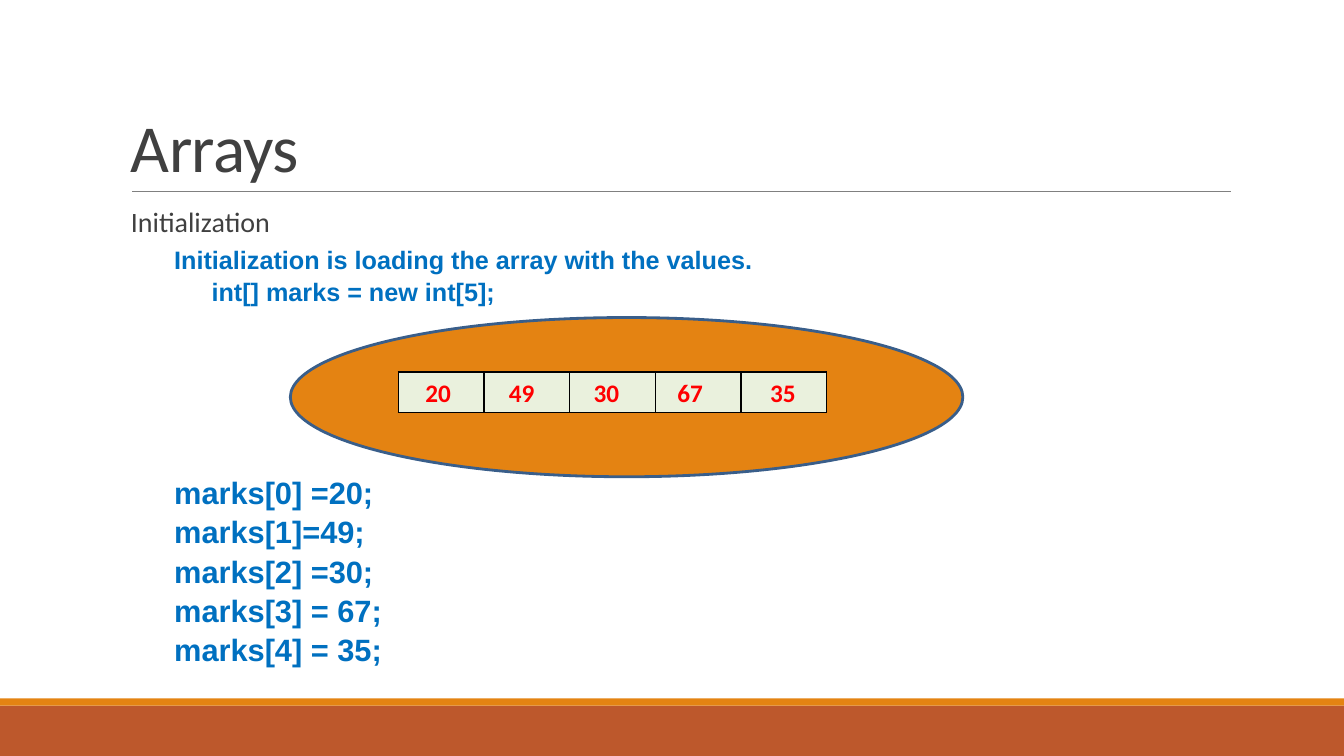
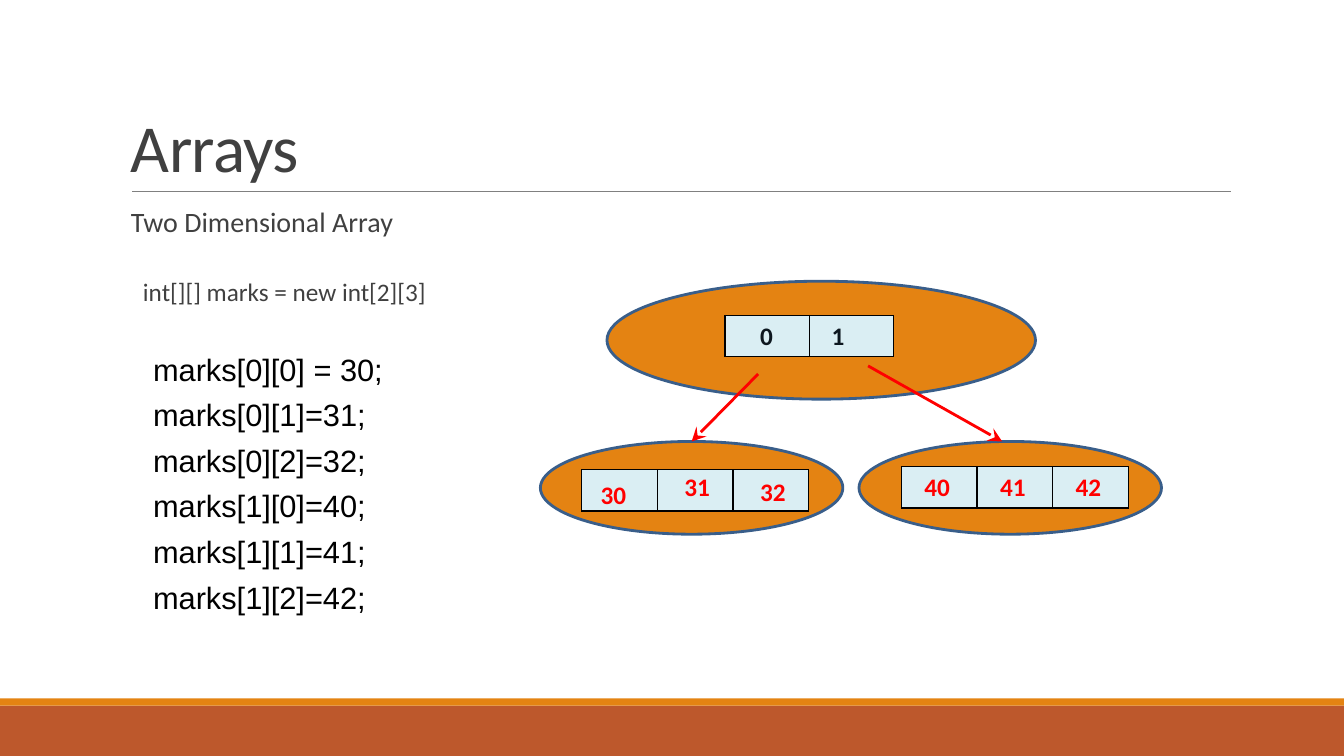
from pptx import Presentation
from pptx.dml.color import RGBColor
from pptx.enum.shapes import MSO_CONNECTOR, MSO_SHAPE
from pptx.enum.text import MSO_ANCHOR
from pptx.oxml.ns import qn
from pptx.util import Inches, Pt
from lxml.etree import SubElement

RUST = RGBColor(0xBD, 0x58, 0x2C)
ORANGE = RGBColor(0xE4, 0x83, 0x12)
GRAY = RGBColor(0x80, 0x80, 0x80)
CHARCOAL = RGBColor(0x40, 0x40, 0x40)
BLUE = RGBColor(0x00, 0x70, 0xC0)
NAVY = RGBColor(0x39, 0x5E, 0x8A)
RED = RGBColor(0xFF, 0x00, 0x00)
INK = RGBColor(0x0D, 0x17, 0x1F)
BLACK = RGBColor(0x00, 0x00, 0x00)
PALE_GREEN = RGBColor(0xEA, 0xF1, 0xDD)
PALE_BLUE = RGBColor(0xDA, 0xEE, 0xF3)

TITLE_FONT = {"name": "Calibri", "size": Pt(48), "color": CHARCOAL}
HEADING_FONT = {"name": "Calibri", "size": Pt(20), "color": CHARCOAL}
DECLARATION_FONT = {"name": "Calibri", "size": Pt(18), "color": CHARCOAL}
NOTE_FONT = {"name": "Arial", "size": Pt(18), "bold": True, "color": BLUE}
ASSIGNMENT_FONT = {"name": "Arial", "size": Pt(22), "bold": True, "color": BLUE}
ELEMENT_FONT = {"name": "Arial", "size": Pt(22), "color": BLACK}
VALUE_FONT = {"name": "Calibri", "size": Pt(18), "bold": True, "color": RED}
INDEX_FONT = {**VALUE_FONT, "color": INK}

VALUE_SIZE = (0.46, 0.4)
BANDS = [((0, 7, 13.33, 0.5), RUST), ((0, 6.93, 13.33, 0.07), ORANGE)]

SLIDES = [
    {
        "title": "Arrays",
        "texts": [
            ((1.2, 2.02, 11, 0.4), ["Initialization"], HEADING_FONT, {}),
            ((1.63, 2.41, 9, 0.35), ["Initialization is loading the array with the values."],
             NOTE_FONT, {}),
            ((2, 2.73, 8.63, 0.35), ["int[] marks = new int[5];"], NOTE_FONT, {}),
            ((1.63, 4.69, 9, 2), ["marks[0] =20;", "marks[1]=49;", "marks[2] =30;",
                                  "marks[3] = 67;", "marks[4] = 35;"],
             ASSIGNMENT_FONT, {"space_before": Pt(4.4)}),
        ],
        "ellipses": [(2.88, 3.15, 6.67, 1.58)],
        "arrays": [
            ((3.95, 3.69, 4.25, 0.4), PALE_GREEN, VALUE_FONT,
             [("20", 4.12, 3.69), ("49", 4.95, 3.69), ("30", 5.79, 3.69),
              ("67", 6.62, 3.69), ("35", 7.54, 3.69)]),
        ],
        "arrows": [],
    },
    {
        "title": "Arrays",
        "texts": [
            ((1.2, 2.02, 11, 0.4), ["Two Dimensional Array"], HEADING_FONT, {}),
            ((1.32, 2.73, 4, 0.4), ["int[][] marks = new int[2][3]"], DECLARATION_FONT, {}),
            ((1.42, 3.47, 3.8, 2.8), ["marks[0][0] = 30;", "marks[0][1]=31;", "marks[0][2]=32;",
                                      "marks[1][0]=40;", "marks[1][1]=41;", "marks[1][2]=42;"],
             ELEMENT_FONT, {"space_before": Pt(4.8), "space_after": Pt(4)}),
        ],
        "ellipses": [(6.02, 2.79, 4.25, 1.17), (5.36, 4.38, 3, 0.92), (8.52, 4.38, 3, 0.92)],
        "arrays": [
            ((7.19, 3.13, 1.67, 0.41), PALE_BLUE, INDEX_FONT,
             [("0", 7.44, 3.13), ("1", 8.15, 3.13)]),
            ((5.77, 4.66, 2.25, 0.41), PALE_BLUE, VALUE_FONT,
             [("30", 5.86, 4.71), ("31", 6.69, 4.63), ("32", 7.44, 4.68)]),
            ((8.94, 4.63, 2.25, 0.41), PALE_BLUE, VALUE_FONT,
             [("40", 9.07, 4.63), ("41", 9.82, 4.63), ("42", 10.57, 4.63)]),
        ],
        "arrows": [(7.52, 3.71, 6.86, 4.38), (8.61, 3.63, 9.94, 4.38)],
    },
]


def inches(lengths):
    return [Inches(length) for length in lengths]


def apply(target, values):
    for name, value in values.items():
        if name == "color":
            target.color.rgb = value
        else:
            setattr(target, name, value)


def add_text(slide, box, lines, font, spacing, anchor=MSO_ANCHOR.TOP, wrap=True):
    frame = slide.shapes.add_textbox(*inches(box)).text_frame
    apply(frame, {"word_wrap": wrap, "vertical_anchor": anchor})
    for number, line in enumerate(lines):
        paragraph = frame.add_paragraph() if number else frame.paragraphs[0]
        apply(paragraph, {"line_spacing": 0.9, **spacing})
        run = paragraph.add_run()
        run.text = line
        apply(run.font, font)
    return frame


def add_filled(slide, preset, box, color, outline=None):
    shape = slide.shapes.add_shape(preset, *inches(box))
    shape.shadow.inherit = False
    shape.fill.solid()
    shape.fill.fore_color.rgb = color
    if outline:
        apply(shape.line, {"color": outline, "width": Pt(2)})
    else:
        shape.line.fill.background()


def add_line(slide, ends, color, width, arrow=False):
    connector = slide.shapes.add_connector(MSO_CONNECTOR.STRAIGHT, *inches(ends))
    apply(connector.line, {"color": color, "width": Pt(width)})
    if arrow:
        SubElement(connector.line._get_or_add_ln(), qn("a:tailEnd"),
                   type="stealth", w="lg", len="lg")
    SubElement(connector._element.spPr, qn("a:effectLst"))


def add_borders(cell):
    properties = cell._tc.get_or_add_tcPr()
    for side in ("lnL", "lnR", "lnT", "lnB"):
        border = SubElement(properties, qn(f"a:{side}"), w=str(Pt(1)))
        fill = SubElement(border, qn("a:solidFill"))
        SubElement(fill, qn("a:srgbClr"), val=str(BLACK))


def add_array(slide, box, color, font, values):
    table = slide.shapes.add_table(1, len(values), *inches(box)).table
    apply(table, {"first_row": False, "horz_banding": False})
    for column, cell in zip(table.columns, table.rows[0].cells):
        column.width = Inches(box[2] / len(values))
        add_borders(cell)
        cell.fill.solid()
        cell.fill.fore_color.rgb = color
        apply(cell, {"margin_top": 0, "margin_bottom": 0})
    for text, left, top in values:
        add_text(slide, (left, top, *VALUE_SIZE), [text], font,
                 {"line_spacing": 1.0}, wrap=False)


def add_frame(slide, title):
    for box, color in BANDS:
        add_filled(slide, MSO_SHAPE.RECTANGLE, box, color)
    add_line(slide, (1.31, 1.9, 12.21, 1.9), GRAY, 0.5)
    frame = add_text(slide, (1.2, 0.31, 11, 1.59), [title], TITLE_FONT,
                     {"line_spacing": 0.85}, MSO_ANCHOR.BOTTOM)
    frame.paragraphs[0].runs[0].font._element.set("spc", "-50")


def main():
    presentation = Presentation()
    apply(presentation, {"slide_width": Inches(13.33), "slide_height": Inches(7.5)})
    for content in SLIDES:
        slide = presentation.slides.add_slide(presentation.slide_layouts[6])
        add_frame(slide, content["title"])
        for text in content["texts"]:
            add_text(slide, *text)
        for box in content["ellipses"]:
            add_filled(slide, MSO_SHAPE.OVAL, box, ORANGE, NAVY)
        for array in content["arrays"]:
            add_array(slide, *array)
        for ends in content["arrows"]:
            add_line(slide, ends, RED, 2, arrow=True)
    presentation.save("out.pptx")


if __name__ == "__main__":
    main()
